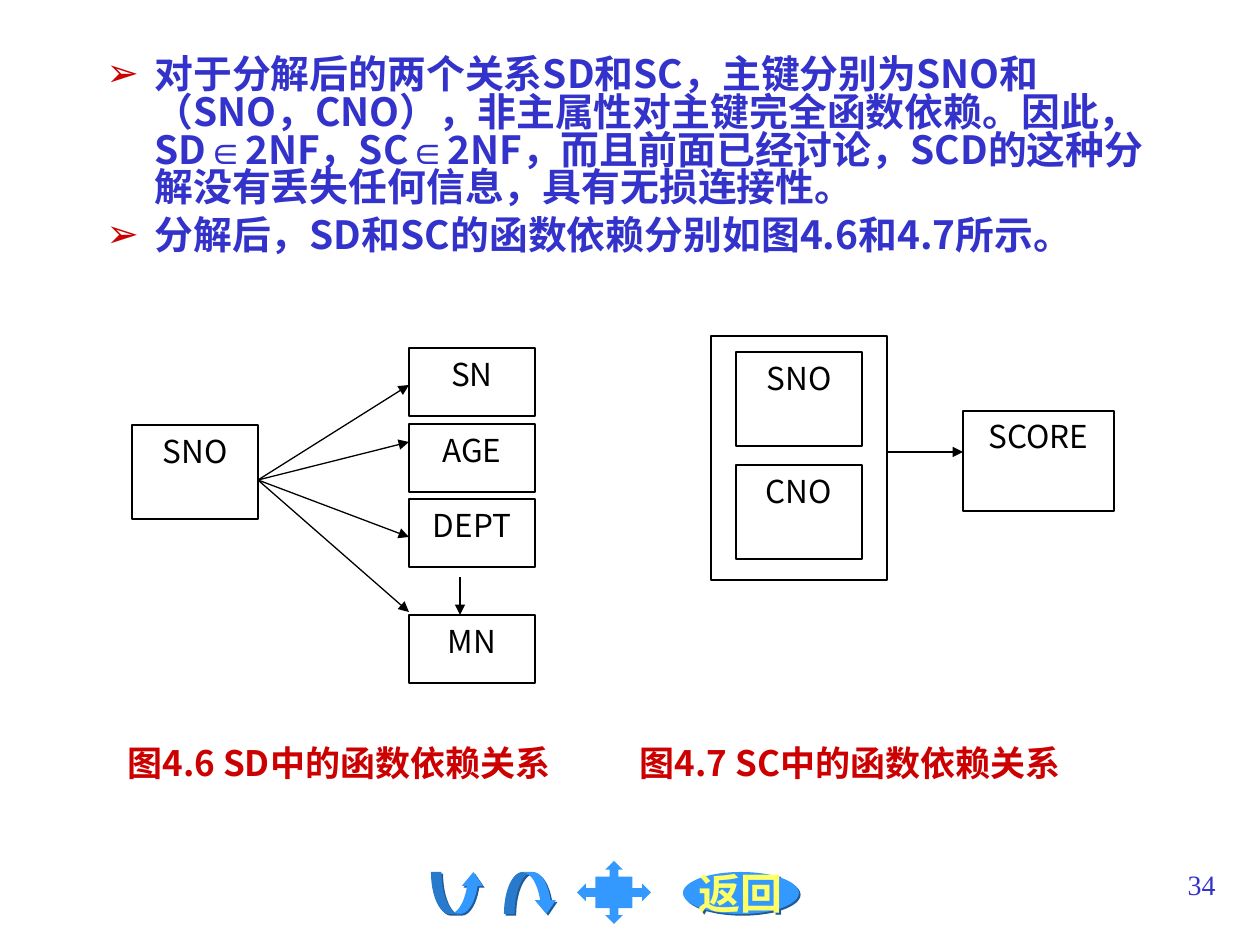
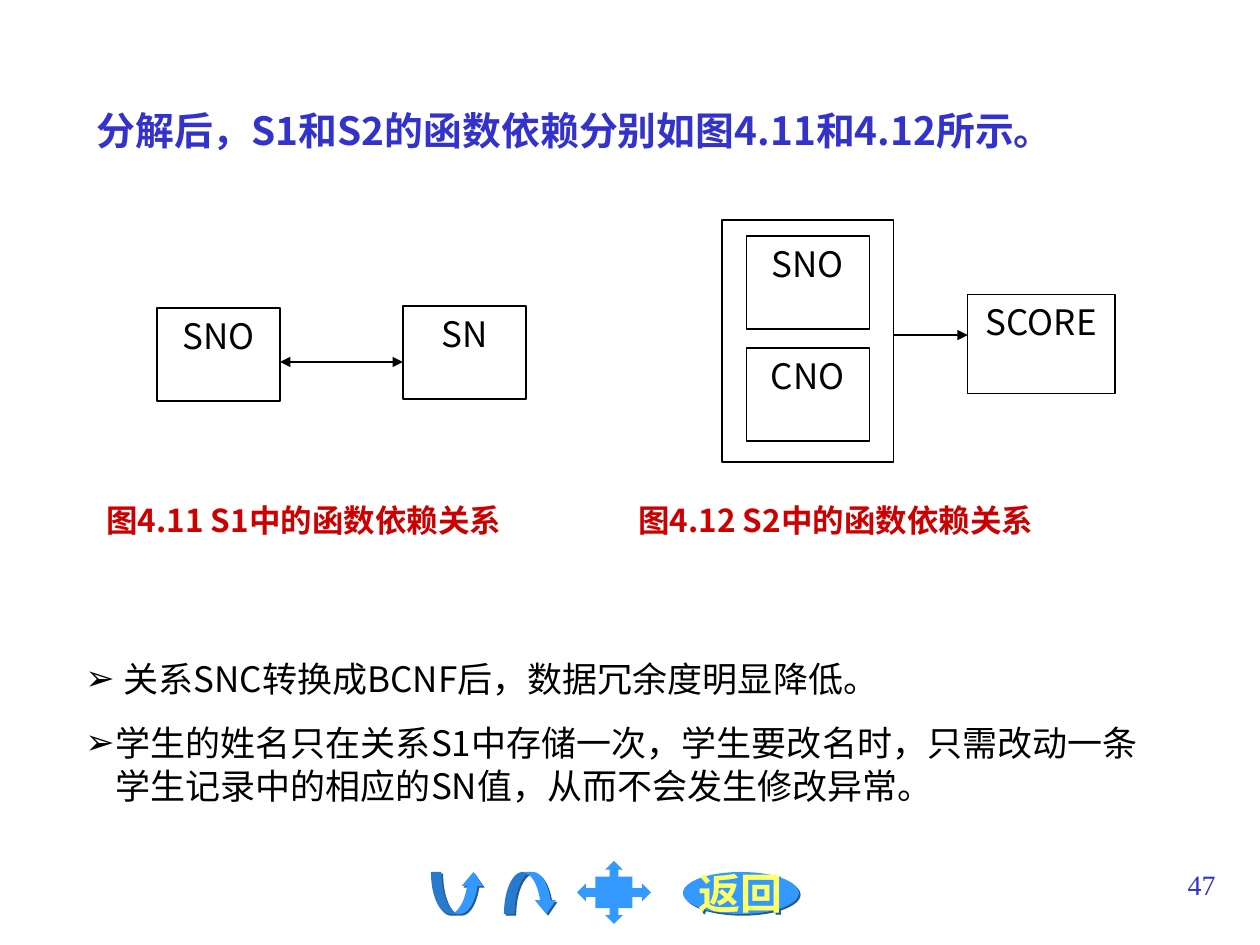
from lxml.etree import SubElement
from pptx import Presentation
from pptx.dml.color import RGBColor
from pptx.enum.shapes import MSO_CONNECTOR, MSO_SHAPE
from pptx.enum.text import MSO_ANCHOR, PP_ALIGN
from pptx.oxml.ns import qn
from pptx.util import Pt

PX = 914400 / 126
PAGE_WIDTH, PAGE_HEIGHT = 1260, 945

BLUE, RED, BLACK, WHITE = "3333CC", "CC0000", "000000", "FFFFFF"
BUTTON, BUTTON_SHADOW, BUTTON_TEXT = "3399FF", "1E5B98", "FFFF66"
SANS, SERIF, SYMBOL = "Noto Sans CJK SC", "Times New Roman", "Arial"
LINE_HEIGHT = 1.21


def emu(length):
    return round(length * PX)


def color(value):
    return RGBColor.from_string(value)


def style_span(span, size, hue, bold=False, font=SANS):
    span.font.size = Pt(size)
    span.font.bold = bold
    span.font.name = font
    span.font.color.rgb = color(hue)
    SubElement(span.font._element, qn("a:ea")).set("typeface", font)


def style_paragraph(para, size, hue, bold=False, font=SANS,
                    align=PP_ALIGN.LEFT, spacing=1.0):
    para.alignment = align
    para.line_spacing = Pt(round(size * LINE_HEIGHT * spacing, 1))
    for span in para.runs:
        style_span(span, size, hue, bold,
                   SYMBOL if span.text == "∈" else font)


def add_bullet(para, hue, indent):
    properties = para._p.get_or_add_pPr()
    properties.set("marL", str(emu(indent)))
    properties.set("indent", str(-emu(indent)))
    bullet_color = SubElement(properties, qn("a:buClr"))
    SubElement(bullet_color, qn("a:srgbClr")).set("val", hue)
    SubElement(properties, qn("a:buFont")).set("typeface", SYMBOL)
    SubElement(properties, qn("a:buChar")).set("char", "➢")


def add_text_box(page, left, top, width, height):
    box = page.shapes.add_textbox(*map(emu, (left, top, width, height)))
    box.text_frame.word_wrap = True
    return box.text_frame


def add_line_of_text(page, area, text, **style):
    frame = add_text_box(page, *area)
    frame.text = text
    style_paragraph(frame.paragraphs[0], **style)


def add_caption(page, left, top, text, size):
    add_line_of_text(page, (left, top, 500, 55), text,
                     size=size, hue=RED, bold=True)


def add_figure(page, kind, left, top, width, height, fill):
    figure = page.shapes.add_shape(
        kind, *map(emu, (left, top, width, height)))
    figure.shadow.inherit = False
    figure.fill.solid()
    figure.fill.fore_color.rgb = color(fill)
    figure.line.fill.background()
    return figure


def add_attribute(page, left, top, width, height, name="", size=18):
    """Outlined box that holds the name of one attribute."""
    box = add_figure(page, MSO_SHAPE.RECTANGLE,
                     left, top, width, height, WHITE)
    box.line.color.rgb = color(BLACK)
    box.line.width = Pt(0.75)
    if name:
        frame = box.text_frame
        frame.vertical_anchor = MSO_ANCHOR.TOP
        frame.text = name
        style_paragraph(frame.paragraphs[0], size, BLACK,
                        align=PP_ALIGN.CENTER)


def add_arrow(page, start, end, both_ends=False):
    arrow = page.shapes.add_connector(
        MSO_CONNECTOR.STRAIGHT, *map(emu, (*start, *end)))
    arrow.line.color.rgb = color(BLACK)
    arrow.line.width = Pt(0.75)
    outline = arrow.line._get_or_add_ln()
    for tag in ("a:headEnd", "a:tailEnd") if both_ends else ("a:tailEnd",):
        SubElement(outline, qn(tag)).set("type", "triangle")
    SubElement(arrow._element.spPr, qn("a:effectLst"))


def add_button_shadow(button):
    effects = button._element.spPr.find(qn("a:effectLst"))
    shadow = SubElement(effects, qn("a:outerShdw"), blurRad="0",
                        dist=str(Pt(1.4)), dir="2700000", algn="ctr",
                        rotWithShape="0")
    SubElement(shadow, qn("a:srgbClr")).set("val", BUTTON_SHADOW)


def add_navigation(page, left, top):
    """Row of buttons: back, forward, overview and return."""
    for kind, offset in ((MSO_SHAPE.CURVED_UP_ARROW, 0),
                         (MSO_SHAPE.CURVED_DOWN_ARROW, 73)):
        turn = add_figure(page, kind, left + offset, top + 11, 53, 42, BUTTON)
        turn.adjustments[2] = 0.33
        add_button_shadow(turn)

    overview = add_figure(page, MSO_SHAPE.QUAD_ARROW_CALLOUT,
                          left + 146, top, 74, 63, BUTTON)
    for index, value in enumerate((0.14, 0.14, 0.14, 0.5)):
        overview.adjustments[index] = value

    back = add_figure(page, MSO_SHAPE.OVAL,
                      left + 252, top + 11, 116, 42, BUTTON)
    add_button_shadow(back)
    frame = back.text_frame
    frame.word_wrap = False
    frame.vertical_anchor = MSO_ANCHOR.MIDDLE
    frame.text = "返回"
    style_paragraph(frame.paragraphs[0], 24, BUTTON_TEXT, bold=True,
                    align=PP_ALIGN.CENTER)


def add_page(deck, number):
    page = deck.slides.add_slide(deck.slide_layouts[6])
    add_navigation(page, 431, 861)
    add_line_of_text(page, (966, 861, 262, 63), str(number), size=16,
                     hue=BLUE, font=SERIF, align=PP_ALIGN.RIGHT)
    return page


def add_score_diagram(page, left, top, width, height, size):
    """SNO and CNO together determine SCORE."""
    def place(x, y):
        return x * width / 403, y * height / 244

    def attribute(x, y, w, h, name=""):
        x, y = place(x, y)
        add_attribute(page, left + x, top + y, *place(w, h), name, size)

    attribute(0, 0, 176, 244)
    attribute(25, 16, 126, 94, "SNO")
    attribute(25, 129, 126, 94, "CNO")
    attribute(252, 75, 151, 100, "SCORE")
    (start, y), (end, _) = place(176, 116), place(252, 116)
    add_arrow(page, (left + start, top + y), (left + end, top + y))


def add_student_diagram(page, left, top):
    """SNO determines four attributes, and DEPT determines MN."""
    column = left + 277
    add_attribute(page, left, top + 77, 126, 94, "SNO")
    source = left + 126, top + 132
    rows = (("SN", 0, 37), ("AGE", 76, 94),
            ("DEPT", 151, 189), ("MN", 267, 264))
    for name, offset, target in rows:
        add_attribute(page, column, top + offset, 126, 68, name)
        add_arrow(page, source, (column, top + target))
    add_arrow(page, (column + 51, top + 229), (column + 51, top + 267))


def add_name_diagram(page, left, top):
    """SNO and SN determine each other."""
    add_attribute(page, left, top + 2, 123, 93, "SNO", 20)
    add_attribute(page, left + 246, top, 123, 93, "SN", 20)
    add_arrow(page, (left + 123, top + 56), (left + 246, top + 56),
              both_ends=True)


def add_second_form_page(deck):
    page = add_page(deck, 34)
    frame = add_text_box(page, 94, 53, 1071, 231)
    paragraphs = (
        ("对于分解后的两个关系SD和SC，主键分别为SNO和（SNO，CNO），"
         "非主属性对主键完全函数依赖。因此，SD", "∈", "2NF，SC", "∈",
         "2NF，而且前面已经讨论，SCD的这种分解没有丢失任何信息，"
         "具有无损连接性。"),
        ("分解后，SD和SC的函数依赖分别如图4.6和4.7所示。",),
    )
    for index, pieces in enumerate(paragraphs):
        para = frame.add_paragraph() if index else frame.paragraphs[0]
        for piece in pieces:
            para.add_run().text = piece
        style_paragraph(para, 22.2, BLUE, bold=True, spacing=0.8)
        para.space_before = Pt(6)
        add_bullet(para, RED, 48)

    add_student_diagram(page, 132, 348)
    add_score_diagram(page, 711, 336, 403, 244, 18)
    add_caption(page, 115, 735, "图4.6 SD中的函数依赖关系", 20)
    add_caption(page, 627, 735, "图4.7 SC中的函数依赖关系", 20)


def add_bcnf_page(deck):
    page = add_page(deck, 47)
    add_line_of_text(page, (84, 105, 1071, 63),
                     "分解后，S1和S2的函数依赖分别如图4.11和4.12所示。",
                     size=22.2, hue=BLUE, bold=True,
                     align=PP_ALIGN.JUSTIFY, spacing=0.9)
    add_name_diagram(page, 157, 306)
    add_score_diagram(page, 722, 220, 393, 242, 20)
    add_caption(page, 94, 494, "图4.11 S1中的函数依赖关系", 18)
    add_caption(page, 626, 494, "图4.12 S2中的函数依赖关系", 18)

    frame = add_text_box(page, 73, 651, 1092, 224)
    conclusions = (
        ("关系SNC转换成BCNF后，数据冗余度明显降低。", 38),
        ("学生的姓名只在关系S1中存储一次，学生要改名时，"
         "只需改动一条学生记录中的相应的SN值，从而不会发生修改异常。", 30),
    )
    frame.text = "\n".join(text for text, _ in conclusions)
    for para, (_, indent) in zip(frame.paragraphs, conclusions):
        style_paragraph(para, 20, BLACK)
        para.space_before = Pt(12.5)
        add_bullet(para, BLACK, indent)


def main():
    deck = Presentation()
    deck.slide_width, deck.slide_height = emu(PAGE_WIDTH), emu(PAGE_HEIGHT)
    add_second_form_page(deck)
    add_bcnf_page(deck)
    deck.save("out.pptx")


if __name__ == "__main__":
    main()
